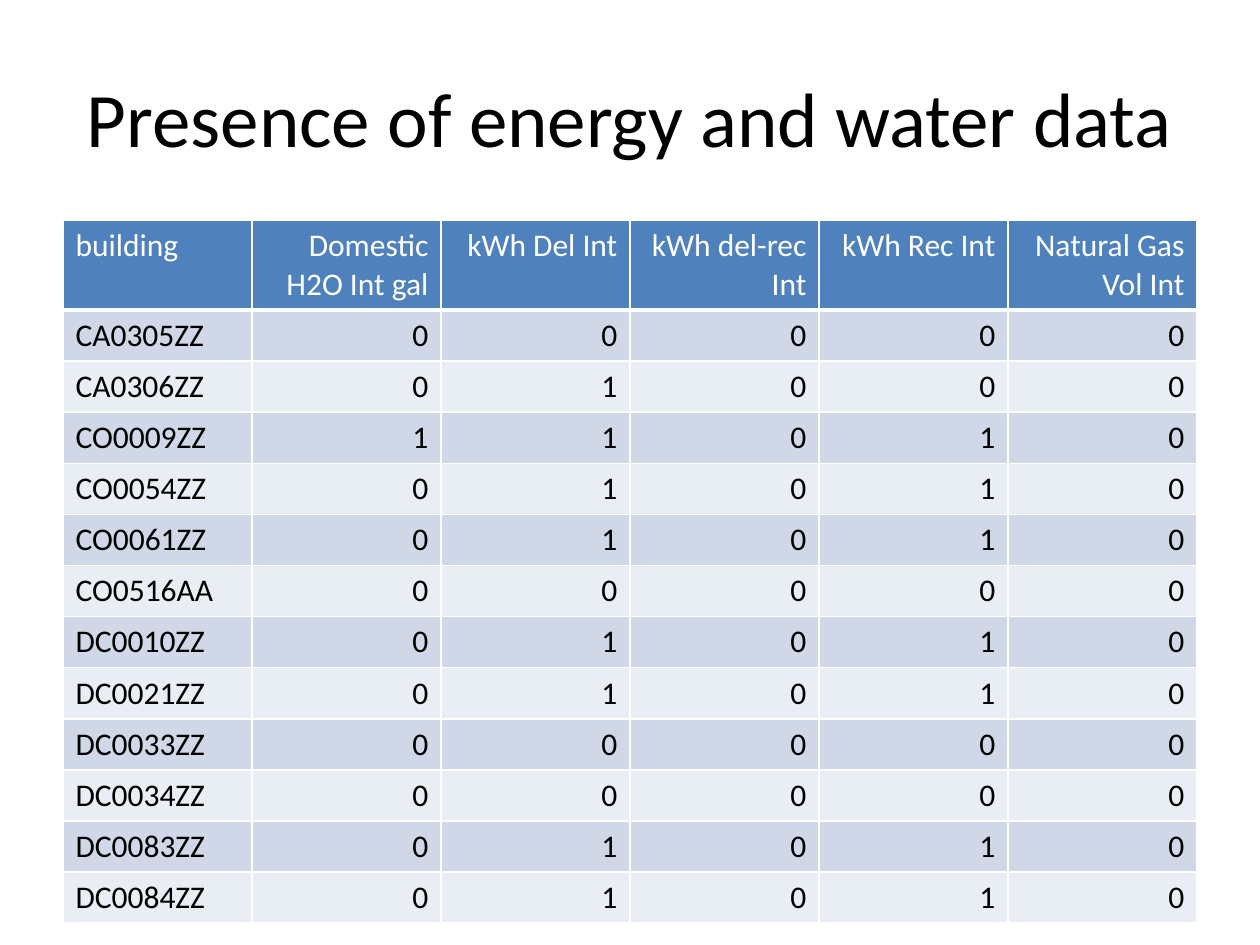
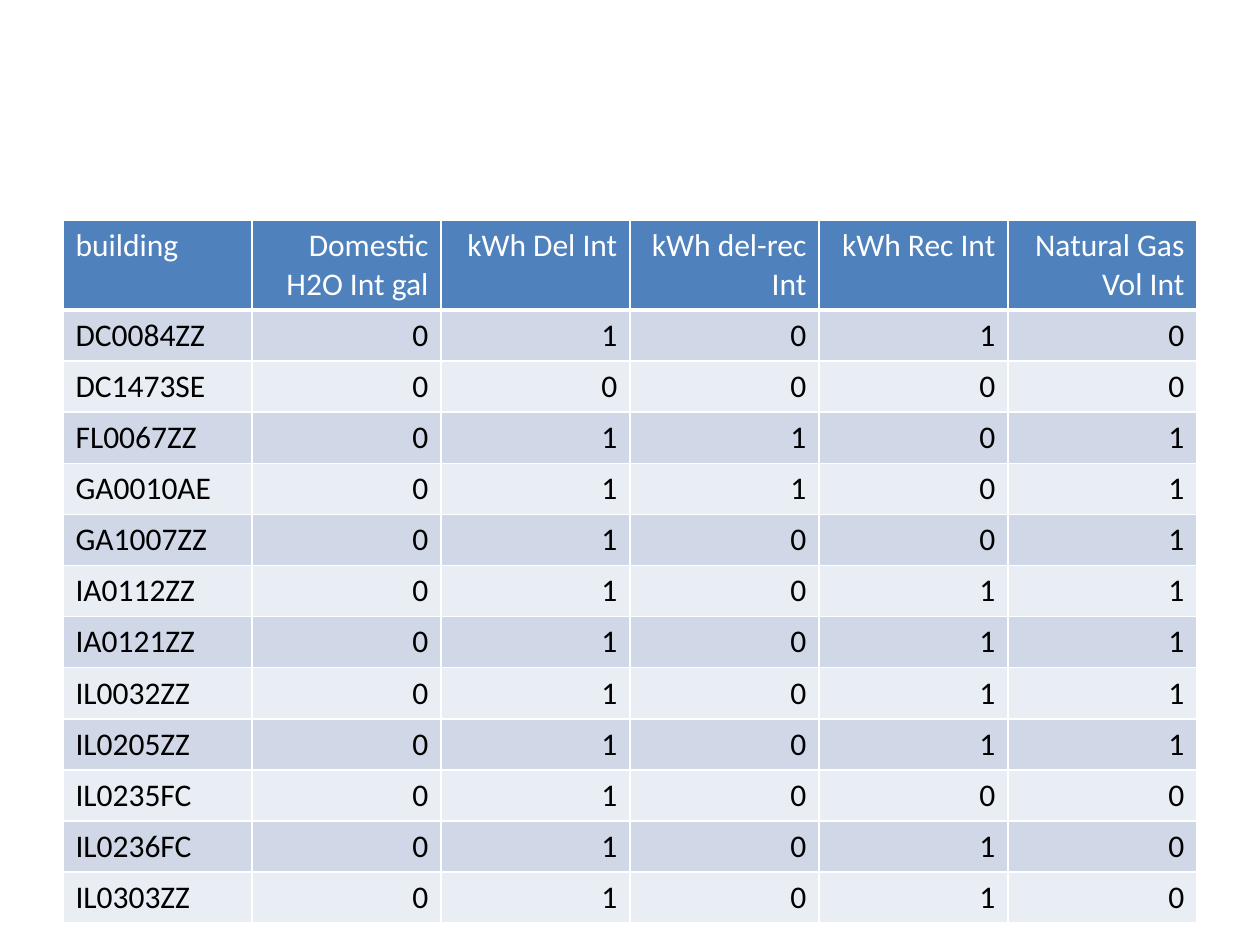
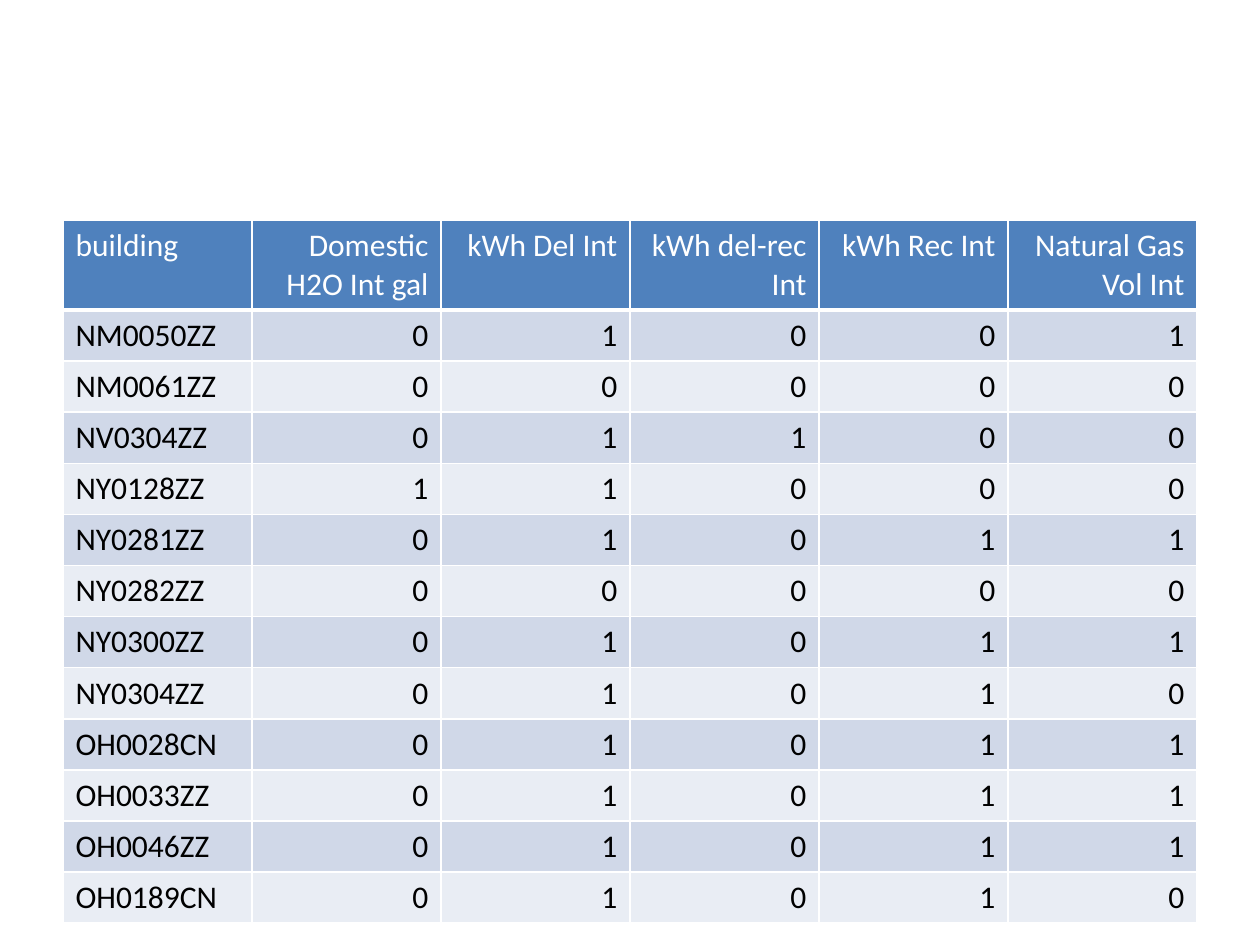
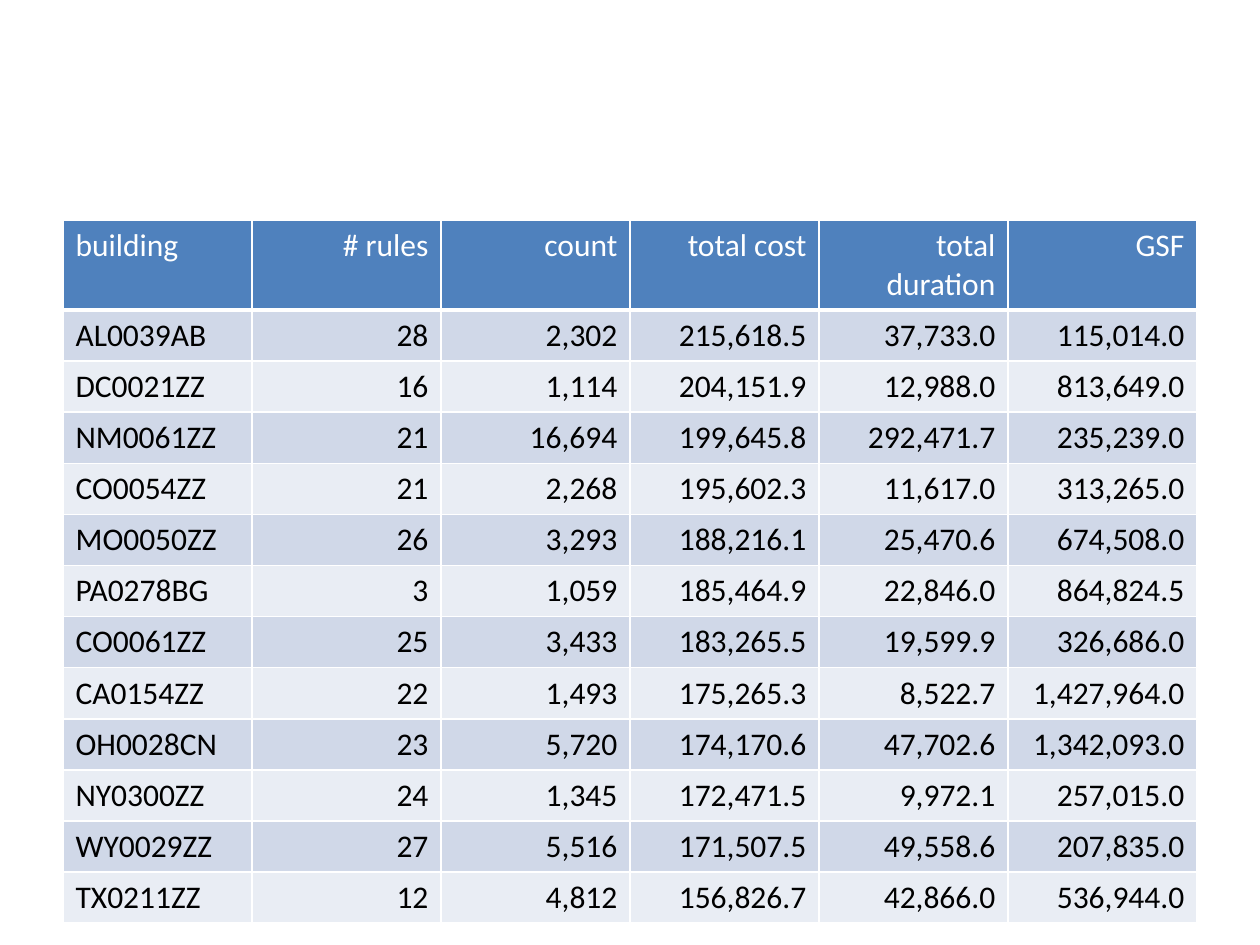
from pptx import Presentation, util as u
from pptx.dml.color import RGBColor
from pptx.enum import text
from pptx.oxml import parse_xml
from pptx.oxml.ns import nsdecls

# Shared style
FONT = "Calibri"
BLACK = RGBColor(0x00, 0x00, 0x00)
WHITE = RGBColor(0xFF, 0xFF, 0xFF)
HEADER_BLUE = RGBColor(0x4F, 0x81, 0xBD)
BANDS = (RGBColor(0xD0, 0xD8, 0xE8), RGBColor(0xE9, 0xED, 0xF4))
THIN, THICK = 1, 3
TITLE_ONLY, BLANK = 5, 6

# Boxes: left, top, width, height
TITLE_BOX = [u.Inches(n) for n in (0.5, 0.3, 9, 1.25)]
TABLE_BOX = [u.Inches(n) for n in (0.5, 1.75, 9, 4.94)]

# Table contents
METER_COLUMNS = ("building", "Domestic H2O Int gal", "kWh Del Int",
                 "kWh del-rec Int", "kWh Rec Int", "Natural Gas Vol Int")
COST_COLUMNS = ("building", "# rules", "count", "total cost",
                "total duration", "GSF")

METERS_CA_TO_DC = """
CA0305ZZ 0 0 0 0 0
CA0306ZZ 0 1 0 0 0
CO0009ZZ 1 1 0 1 0
CO0054ZZ 0 1 0 1 0
CO0061ZZ 0 1 0 1 0
CO0516AA 0 0 0 0 0
DC0010ZZ 0 1 0 1 0
DC0021ZZ 0 1 0 1 0
DC0033ZZ 0 0 0 0 0
DC0034ZZ 0 0 0 0 0
DC0083ZZ 0 1 0 1 0
DC0084ZZ 0 1 0 1 0
"""
METERS_DC_TO_IL = """
DC0084ZZ 0 1 0 1 0
DC1473SE 0 0 0 0 0
FL0067ZZ 0 1 1 0 1
GA0010AE 0 1 1 0 1
GA1007ZZ 0 1 0 0 1
IA0112ZZ 0 1 0 1 1
IA0121ZZ 0 1 0 1 1
IL0032ZZ 0 1 0 1 1
IL0205ZZ 0 1 0 1 1
IL0235FC 0 1 0 0 0
IL0236FC 0 1 0 1 0
IL0303ZZ 0 1 0 1 0
"""
METERS_NM_TO_OH = """
NM0050ZZ 0 1 0 0 1
NM0061ZZ 0 0 0 0 0
NV0304ZZ 0 1 1 0 0
NY0128ZZ 1 1 0 0 0
NY0281ZZ 0 1 0 1 1
NY0282ZZ 0 0 0 0 0
NY0300ZZ 0 1 0 1 1
NY0304ZZ 0 1 0 1 0
OH0028CN 0 1 0 1 1
OH0033ZZ 0 1 0 1 1
OH0046ZZ 0 1 0 1 1
OH0189CN 0 1 0 1 0
"""
COSTS = """
AL0039AB 28 2,302 215,618.5 37,733.0 115,014.0
DC0021ZZ 16 1,114 204,151.9 12,988.0 813,649.0
NM0061ZZ 21 16,694 199,645.8 292,471.7 235,239.0
CO0054ZZ 21 2,268 195,602.3 11,617.0 313,265.0
MO0050ZZ 26 3,293 188,216.1 25,470.6 674,508.0
PA0278BG 3 1,059 185,464.9 22,846.0 864,824.5
CO0061ZZ 25 3,433 183,265.5 19,599.9 326,686.0
CA0154ZZ 22 1,493 175,265.3 8,522.7 1,427,964.0
OH0028CN 23 5,720 174,170.6 47,702.6 1,342,093.0
NY0300ZZ 24 1,345 172,471.5 9,972.1 257,015.0
WY0029ZZ 27 5,516 171,507.5 49,558.6 207,835.0
TX0211ZZ 12 4,812 156,826.7 42,866.0 536,944.0
"""

# Title, columns and rows of each slide
SLIDES = (
    ("Presence of energy and water data", METER_COLUMNS, METERS_CA_TO_DC),
    (None, METER_COLUMNS, METERS_DC_TO_IL),
    (None, METER_COLUMNS, METERS_NM_TO_OH),
    (None, COST_COLUMNS, COSTS),
)


def write(frame, words, size=18, color=BLACK, align=text.PP_ALIGN.LEFT):
    para = frame.paragraphs[0]
    para.alignment = align
    span = para.add_run()
    span.text = words
    span.font.name = FONT
    span.font.size = u.Pt(size)
    span.font.bold = False
    span.font.color.rgb = color


def add_borders(cell, bottom):
    """Draw white lines round a cell; widths are in points."""
    for side, width in zip("LRTB", (THIN, THIN, THIN, bottom)):
        cell._tc.get_or_add_tcPr().append(parse_xml(
            f'<a:ln{side} {nsdecls("a")} w="{u.Pt(width)}">'
            f'<a:solidFill><a:srgbClr val="{WHITE}"/></a:solidFill></a:ln{side}>'))


def add_title(page, box, words):
    title = page.shapes.title
    title.left, title.top, title.width, title.height = box
    title.text_frame.vertical_anchor = text.MSO_ANCHOR.MIDDLE
    write(title.text_frame, words, size=44, align=text.PP_ALIGN.CENTER)


def add_data_table(page, box, columns, lines):
    rows = [columns] + [line.split() for line in lines.strip().splitlines()]
    table = page.shapes.add_table(len(rows), len(columns), *box).table
    for r, row in enumerate(rows):
        header = r == 0
        for c, words in enumerate(row):
            cell = table.cell(r, c)
            add_borders(cell, bottom=THICK if header else THIN)
            cell.fill.solid()
            cell.fill.fore_color.rgb = HEADER_BLUE if header else BANDS[(r - 1) % 2]
            write(cell.text_frame, words, color=WHITE if header else BLACK,
                  align=text.PP_ALIGN.RIGHT if c else text.PP_ALIGN.LEFT)


def add_table_page(deck, title, columns, lines):
    page = deck.slides.add_slide(deck.slide_layouts[TITLE_ONLY if title else BLANK])
    if title:
        add_title(page, TITLE_BOX, title)
    add_data_table(page, TABLE_BOX, columns, lines)


def main():
    deck = Presentation()
    deck.slide_width, deck.slide_height = u.Inches(10), u.Inches(7.5)
    for title, columns, lines in SLIDES:
        add_table_page(deck, title, columns, lines)
    deck.save("out.pptx")


if __name__ == "__main__":
    main()
